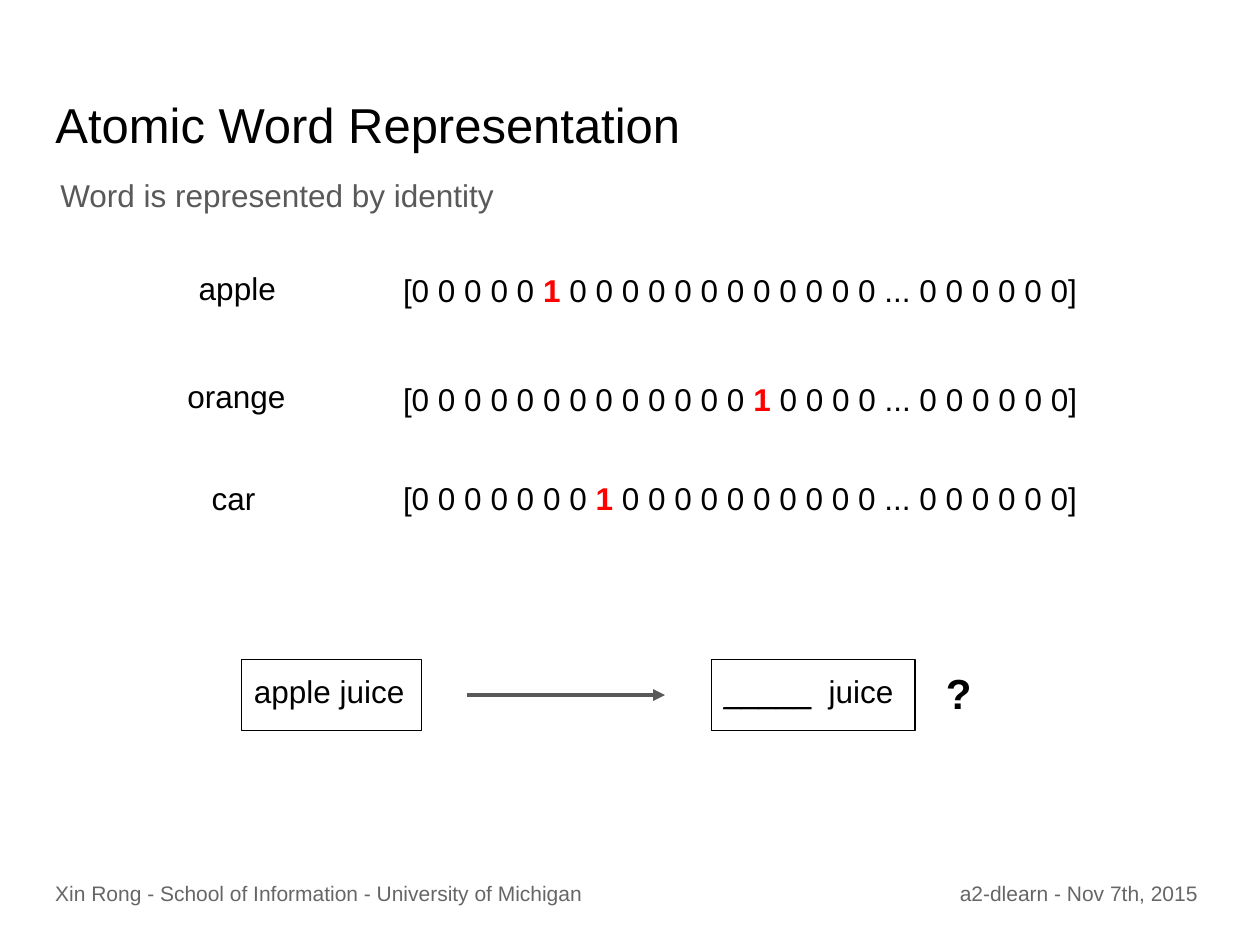
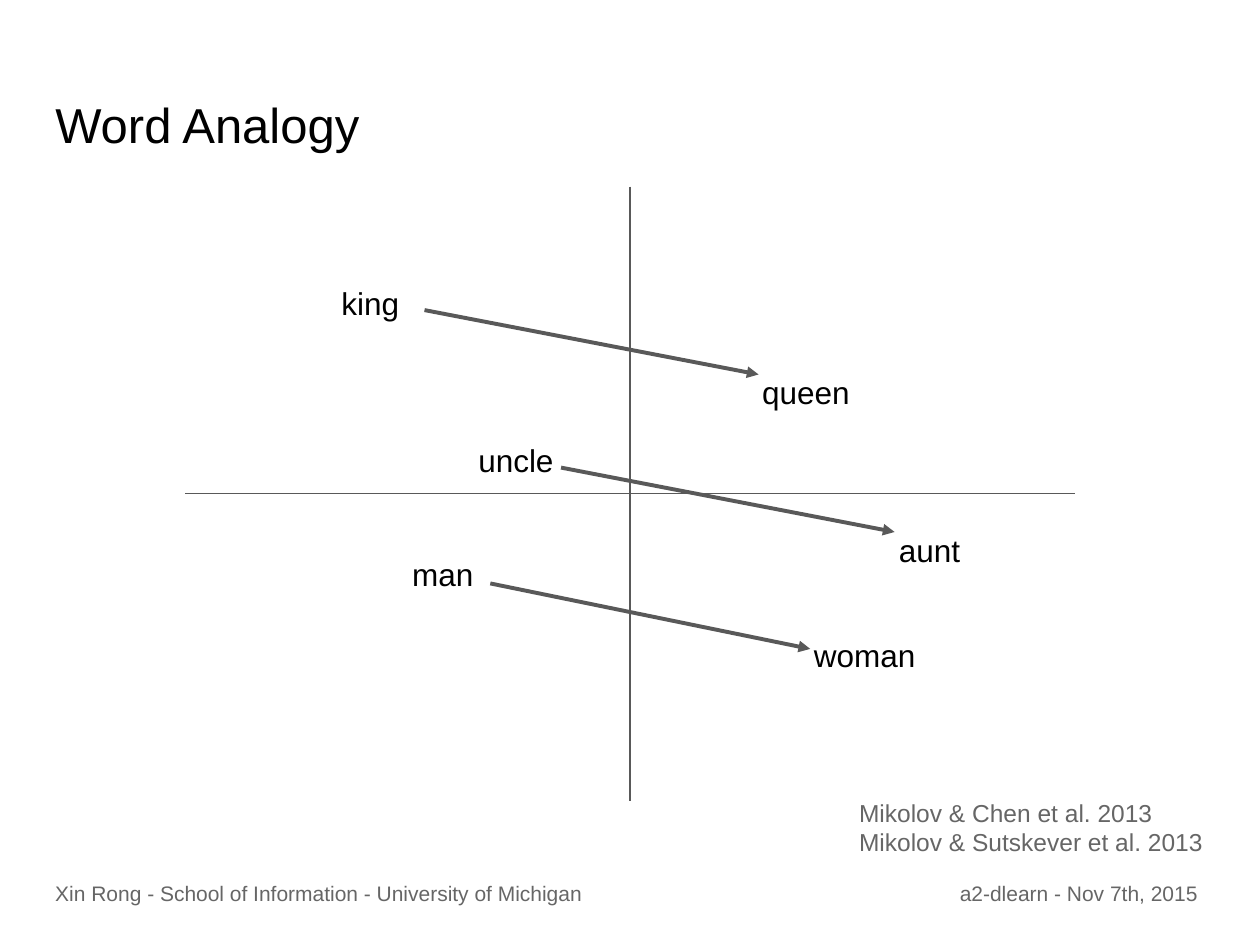
from dataclasses import dataclass
from typing import Any, Optional

import lxml.etree
import pptx
import pptx.dml.color
import pptx.enum.shapes
import pptx.enum.text
import pptx.oxml.ns
import pptx.util

Pt = pptx.util.Pt
qn = pptx.oxml.ns.qn
Anchor = pptx.enum.text.MSO_ANCHOR


@dataclass(frozen=True)
class Theme:
    font: str = "Arial"
    ink: str = "000000"
    body: str = "595959"
    muted: str = "666666"
    highlight: str = "FF0000"
    title_size: float = 28
    mark_size: float = 24
    text_size: float = 18
    citation_size: float = 14
    footer_size: float = 12
    thin: float = 0.75
    thick: float = 2.25
    inset: float = 7.2


THEME = Theme()


@dataclass(frozen=True)
class Box:
    left: float
    top: float
    width: float
    height: float

    def lengths(self) -> list[int]:
        return [Pt(value) for value in (self.left, self.top, self.width, self.height)]


@dataclass(frozen=True)
class Run:
    text: str
    size: float = THEME.text_size
    color: str = THEME.ink
    bold: bool = False
    underline: bool = False


@dataclass(frozen=True)
class WordVector:
    word: str
    word_box: Box
    vector_top: float
    hot_index: int


@dataclass(frozen=True)
class Analogy:
    source: str
    source_corner: tuple[float, float]
    target: str
    target_corner: tuple[float, float]
    arrow_start: tuple[float, float]
    arrow_end: tuple[float, float]


TITLE_BOX = Box(24.5, 46.8, 671, 59.8)
FOOTERS = [
    ("Xin Rong - School of Information - University of Michigan", Box(24.5, 496, 368, 28)),
    ("a2-dlearn - Nov 7th, 2015", Box(541.4, 496, 163.5, 28)),
]

VECTOR_HEAD = 18
VECTOR_TAIL = 6
WORD_VECTORS = [
    WordVector("apple", Box(106.5, 148.5, 64, 32), 147.6, 5),
    WordVector("orange", Box(100, 210.2, 71, 32), 210.2, 13),
    WordVector("car", Box(113.8, 268.6, 49, 32), 266.4, 7),
]

ANALOGIES = [
    Analogy("king", (188, 154.8), "queen", (428.4, 206), (242.6, 177.2), (433.5, 214)),
    Analogy("man", (228.4, 310.2), "woman", (458, 356.4), (280.2, 333.4), (463, 370.8)),
    Analogy("uncle", (266.2, 244.8), "aunt", (506.5, 296), (320.6, 267.2), (511.2, 304)),
]


def rgb(color: str) -> pptx.dml.color.RGBColor:
    return pptx.dml.color.RGBColor.from_string(color)


def set_attributes(target: Any, values: dict[str, Any]) -> None:
    for name, value in values.items():
        setattr(target, name, value)


def write(shape: Any, paragraphs: list[list[Run]], anchor: Any = Anchor.TOP) -> None:
    frame = shape.text_frame
    margins = {f"margin_{side}": Pt(THEME.inset) for side in ("left", "top", "right", "bottom")}
    set_attributes(frame, {
        **margins,
        "word_wrap": True,
        "auto_size": pptx.enum.text.MSO_AUTO_SIZE.NONE,
        "vertical_anchor": anchor,
    })
    for index, runs in enumerate(paragraphs):
        paragraph = frame.add_paragraph() if index else frame.paragraphs[0]
        paragraph.alignment = pptx.enum.text.PP_ALIGN.LEFT
        for item in runs:
            run = paragraph.add_run()
            run.text = item.text
            set_attributes(run.font, {
                "name": THEME.font,
                "size": Pt(item.size),
                "bold": item.bold,
                "underline": item.underline,
            })
            run.font.color.rgb = rgb(item.color)


def add_text(slide: Any, box: Box, *runs: Run, anchor: Any = Anchor.TOP) -> Any:
    shape = slide.shapes.add_textbox(*box.lengths())
    write(shape, [list(runs)], anchor)
    return shape


def add_frame(slide: Any, box: Box, *runs: Run, tab_stop: Optional[float] = None) -> None:
    """Add an outlined rectangle with text, and a tab stop if one is given."""
    shape = slide.shapes.add_shape(pptx.enum.shapes.MSO_SHAPE.RECTANGLE, *box.lengths())
    shape.shadow.inherit = False
    shape.fill.background()
    shape.line.color.rgb = rgb(THEME.ink)
    shape.line.width = Pt(THEME.thin)
    if tab_stop is not None:
        properties = shape.text_frame.paragraphs[0]._p.get_or_add_pPr()
        tabs = lxml.etree.SubElement(properties, qn("a:tabLst"))
        lxml.etree.SubElement(tabs, qn("a:tab"), pos=str(Pt(tab_stop)), algn="l")
    write(shape, [list(runs)])


def add_line(slide: Any, start: tuple[float, float], end: tuple[float, float],
             arrow: bool = False) -> None:
    connector = slide.shapes.add_connector(
        pptx.enum.shapes.MSO_CONNECTOR.STRAIGHT, *[Pt(value) for value in (*start, *end)])
    connector.line.color.rgb = rgb(THEME.body)
    connector.line.width = Pt(THEME.thick if arrow else THEME.thin)
    properties = connector._element.spPr
    if arrow:
        lxml.etree.SubElement(properties.find(qn("a:ln")), qn("a:tailEnd"), type="triangle")
    lxml.etree.SubElement(properties, qn("a:effectLst"))


def add_titled_slide(presentation: Any, title: str) -> Any:
    slide = presentation.slides.add_slide(presentation.slide_layouts[5])
    placeholder = slide.shapes.title
    names = ("left", "top", "width", "height")
    set_attributes(placeholder, dict(zip(names, TITLE_BOX.lengths())))
    write(placeholder, [[Run(title, THEME.title_size)]])
    for text, box in FOOTERS:
        add_text(slide, box, Run(text, THEME.footer_size, THEME.muted))
    return slide


def one_hot_runs(hot_index: int) -> list[Run]:
    after = " 0" * (VECTOR_HEAD - hot_index - 1) + " ..." + " 0" * VECTOR_TAIL + "]"
    return [
        Run("[" + "0 " * hot_index),
        Run("1", color=THEME.highlight, bold=True),
        Run(after),
    ]


def build_atomic_slide(presentation: Any) -> None:
    slide = add_titled_slide(presentation, "Atomic Word Representation")
    subtitle = add_text(slide, Box(27.4, 90, 671, 34.6),
                        Run("Word is represented by identity", color=THEME.body))
    subtitle.text_frame.paragraphs[0].line_spacing = 1.15

    for row in WORD_VECTORS:
        add_text(slide, row.word_box, Run(row.word), anchor=Anchor.MIDDLE)
        add_text(slide, Box(223.2, row.vector_top, 402.5, 46), *one_hot_runs(row.hot_index))

    add_frame(slide, Box(138, 377, 103, 40.5), Run("apple juice"))
    add_line(slide, (267, 397.2), (380, 397.2), arrow=True)
    add_frame(slide, Box(406.5, 377, 116.5, 40.5),
              Run("_____", underline=True), Run("\tjuice"), tab_stop=60)
    add_text(slide, Box(533.5, 373, 43.2, 46), Run("?", THEME.mark_size, bold=True),
             anchor=Anchor.MIDDLE)


def build_analogy_slide(presentation: Any) -> None:
    slide = add_titled_slide(presentation, "Word Analogy")
    add_line(slide, (105.8, 282.2), (614.2, 282.2))
    add_line(slide, (360, 106.6), (360, 458))

    for pair in ANALOGIES:
        add_text(slide, Box(*pair.source_corner, 73.5, 46), Run(pair.source))
        add_text(slide, Box(*pair.target_corner, 73.5, 46), Run(pair.target))
        add_line(slide, pair.arrow_start, pair.arrow_end, arrow=True)

    citations = ["Mikolov & Chen et al. 2013", "Mikolov & Sutskever et al. 2013"]
    citation_box = slide.shapes.add_textbox(*Box(483.8, 454.4, 236.2, 36.7).lengths())
    write(citation_box,
          [[Run(text, THEME.citation_size, THEME.muted)] for text in citations],
          Anchor.MIDDLE)


def main() -> None:
    presentation = pptx.Presentation()
    presentation.slide_width = Pt(720)
    presentation.slide_height = Pt(540)
    build_atomic_slide(presentation)
    build_analogy_slide(presentation)
    presentation.save("out.pptx")


if __name__ == "__main__":
    main()
